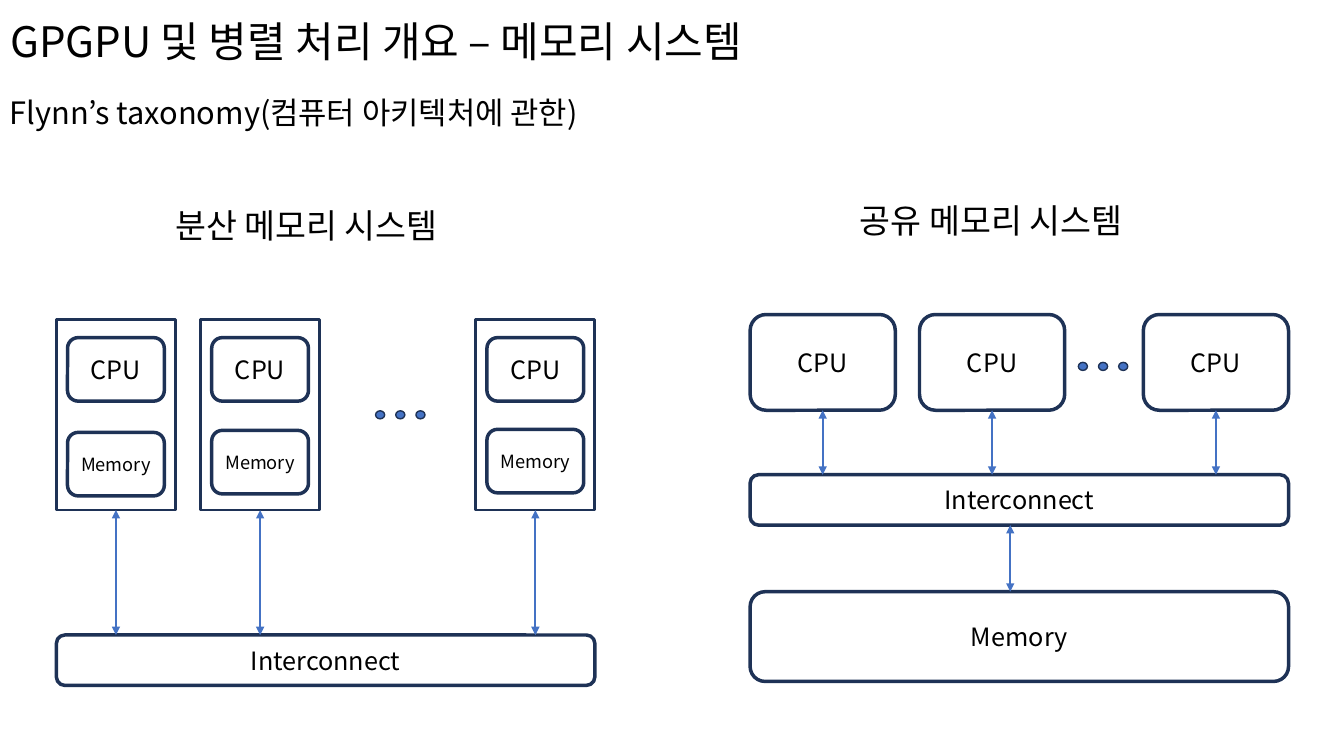
from lxml.etree import SubElement
from pptx import Presentation
from pptx.dml.color import RGBColor
from pptx.enum.shapes import MSO_CONNECTOR as CONNECTOR, MSO_SHAPE as SHAPE
from pptx.enum.text import MSO_ANCHOR as ANCHOR, MSO_AUTO_SIZE as AUTO_SIZE, PP_ALIGN as ALIGN
from pptx.oxml.ns import qn
from pptx.util import Inches, Pt

BLACK = RGBColor(0x00, 0x00, 0x00)
WHITE = RGBColor(0xFF, 0xFF, 0xFF)
NAVY = RGBColor(0x1E, 0x32, 0x56)
BLUE = RGBColor(0x44, 0x72, 0xC4)


def apply_format(target, values):
    for name, value in values.items():
        setattr(target, name, value)


class MemorySlide:
    font_name = "Noto Sans CJK KR"

    def __init__(self, presentation):
        self.slide = presentation.slides.add_slide(presentation.slide_layouts[5])
        self.shapes = self.slide.shapes

    def set_text(self, shape, text, size, align, anchor, line_spacing=1.0):
        frame = shape.text_frame
        apply_format(frame, {"word_wrap": True, "vertical_anchor": anchor})
        paragraph = frame.paragraphs[0]
        apply_format(paragraph, {"alignment": align, "line_spacing": line_spacing})
        run = paragraph.add_run()
        run.text = text
        apply_format(run.font, {"name": self.font_name, "size": Pt(size)})
        run.font.color.rgb = BLACK
        SubElement(run.font._element, qn("a:ea"), typeface=self.font_name)

    def title(self, text, width, height):
        shape = self.shapes.title
        apply_format(shape, {"left": 0, "top": 0, "width": Inches(width), "height": Inches(height)})
        self.set_text(shape, text, 30, ALIGN.LEFT, ANCHOR.MIDDLE, 0.9)

    def label(self, text, left, top, width, height, size):
        shape = self.shapes.add_textbox(Inches(left), Inches(top), Inches(width), Inches(height))
        self.set_text(shape, text, size, ALIGN.LEFT, ANCHOR.TOP)
        shape.text_frame.auto_size = AUTO_SIZE.SHAPE_TO_FIT_TEXT

    def box(self, left, top, width, height, text="", size=18,
            kind=SHAPE.ROUNDED_RECTANGLE, fill=WHITE, line_width=2.5):
        shape = self.shapes.add_shape(kind, Inches(left), Inches(top), Inches(width), Inches(height))
        shape.shadow.inherit = False
        shape.fill.solid()
        shape.fill.fore_color.rgb = fill
        shape.line.color.rgb = NAVY
        shape.line.width = Pt(line_width)
        if text:
            self.set_text(shape, text, size, ALIGN.CENTER, ANCHOR.MIDDLE)
        return shape

    def dots(self, left, top):
        for index in range(3):
            dot = self.box(left + 0.2 * index, top, 0.08, 0.09,
                           kind=SHAPE.FLOWCHART_CONNECTOR, fill=BLUE, line_width=1)
            dot.rotation = 90

    def arrow(self, x, top, bottom):
        connector = self.shapes.add_connector(CONNECTOR.STRAIGHT, x, top, x, bottom)
        connector.line.color.rgb = BLUE
        connector.line.width = Pt(1.5)
        line = connector.line._get_or_add_ln()
        for end in ("a:headEnd", "a:tailEnd"):
            SubElement(line, qn(end), type="triangle")
        SubElement(connector._element.spPr, qn("a:effectLst"))
        return connector

    def link(self, upper, lower):
        x = upper.left + upper.width // 2
        self.arrow(x, upper.top + upper.height, lower.top).begin_connect(upper, 2)


def draw_distributed(page):
    page.label("분산 메모리 시스템", 1.64, 1.98, 3.18, 0.5, 24)
    interconnect = page.box(0.56, 6.3, 5.34, 0.5, "Interconnect")
    for left, memory_top in ((0.56, 4.29), (1.99, 4.27), (4.72, 4.26)):
        node = page.box(left, 3.17, 1.18, 1.89, kind=SHAPE.RECTANGLE, line_width=2)
        page.box(left + 0.11, 3.35, 0.96, 0.63, "CPU")
        page.box(left + 0.11, memory_top, 0.96, 0.63, "Memory", 13)
        page.link(node, interconnect)
    page.dots(3.73, 4.07)


def draw_shared(page):
    page.label("공유 메모리 시스템", 8.43, 1.93, 3.18, 0.5, 24)
    interconnect = page.box(7.44, 4.71, 5.34, 0.5, "Interconnect")
    memory = page.box(7.44, 5.87, 5.34, 0.89, "Memory")
    for left in (7.44, 9.12, 11.34):
        page.link(page.box(left, 3.12, 1.44, 0.95, "CPU"), interconnect)
    page.arrow(Inches(10.02), interconnect.top + interconnect.height, memory.top)
    page.dots(10.7, 3.59)


def main():
    presentation = Presentation()
    apply_format(presentation, {"slide_width": Inches(13.33), "slide_height": Inches(7.5)})
    page = MemorySlide(presentation)
    page.title("GPGPU 및 병렬 처리 개요 – 메모리 시스템", 13.33, 0.88)
    page.label("Flynn’s taxonomy(컴퓨터 아키텍처에 관한)", 0, 0.88, 6.12, 0.47, 22)
    draw_distributed(page)
    draw_shared(page)
    presentation.save("out.pptx")


if __name__ == "__main__":
    main()
